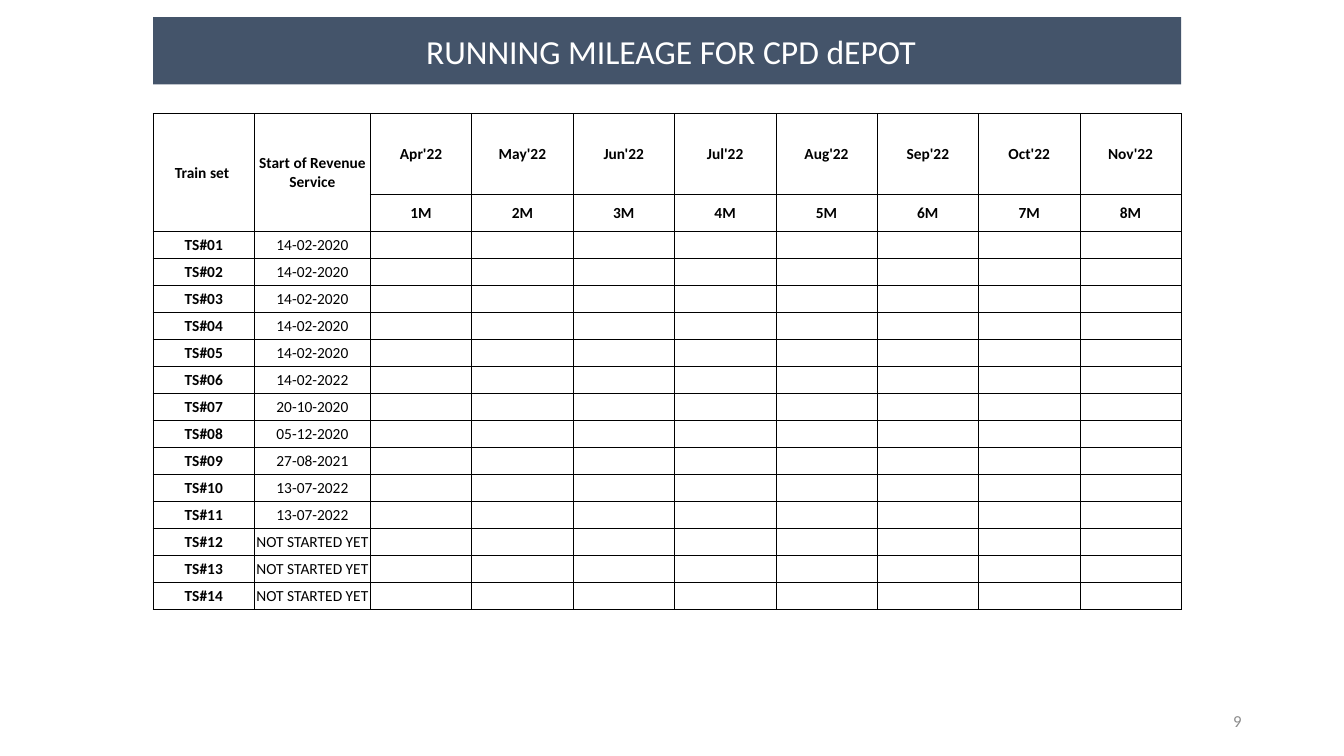
from lxml.etree import SubElement
from pptx import Presentation
from pptx.dml.color import RGBColor
from pptx.enum.shapes import MSO_SHAPE as Shape
from pptx.enum.text import MSO_ANCHOR as Anchor, PP_ALIGN as Align
from pptx.oxml.ns import qn
from pptx.util import Pt

MONTHS = ["Apr", "May", "Jun", "Jul", "Aug", "Sep", "Oct", "Nov"]
SERVICE_STARTS = ["14-02-2020"] * 5 + [
    "14-02-2022", "20-10-2020", "05-12-2020", "27-08-2021",
    "13-07-2022", "13-07-2022",
] + ["NOT STARTED YET"] * 3
LEFT, WIDTH = 109.4, 734.4
START_WIDTH = 82.8
HEADER_HEIGHTS = [57.9, 26.5]
TRAIN_HEIGHT = 19.3
HEAVY_COLUMN_EDGES = {0, 2, 2 + len(MONTHS)}
HEAVY_ROW_EDGES = {0, 2}


def paint(target, color):
    target.solid()
    target.fore_color.rgb = RGBColor.from_string(color)


def write(frame, text, size=11, color="000000", bold=False, align=Align.CENTER):
    frame.word_wrap = True
    paragraph = frame.paragraphs[0]
    paragraph.alignment = align
    if text:
        run = paragraph.add_run()
        run.text = text
        run.font.name = "Calibri"
        run.font.size = Pt(size)
        run.font.bold = bold
        run.font.color.rgb = RGBColor.from_string(color)
    paragraph._p.get_or_add_endParaRPr().set("sz", str(size * 100))


def add_banner(slide, text):
    banner = slide.shapes.add_shape(
        Shape.RECTANGLE, Pt(LEFT), Pt(12.2), Pt(WIDTH), Pt(48.2))
    banner.shadow.inherit = False
    paint(banner.fill, "44546A")
    banner.line.fill.background()
    banner.text_frame.vertical_anchor = Anchor.MIDDLE
    write(banner.text_frame, text, size=24, color="FFFFFF")


def add_page_number(slide, text):
    number = slide.shapes.add_textbox(Pt(678), Pt(500.4), Pt(216), Pt(28.8))
    number.text_frame.vertical_anchor = Anchor.MIDDLE
    write(number.text_frame, text, size=12, color="8C8C8C", align=Align.RIGHT)


def add_borders(cell, row, column):
    edges = {
        "a:lnL": column in HEAVY_COLUMN_EDGES,
        "a:lnR": column + 1 in HEAVY_COLUMN_EDGES,
        "a:lnT": row in HEAVY_ROW_EDGES,
        "a:lnB": row + cell.span_height in HEAVY_ROW_EDGES,
    }
    properties = cell._tc.get_or_add_tcPr()
    for tag, heavy in edges.items():
        border = SubElement(properties, qn(tag), w=str(Pt(1 if heavy else 0.5)))
        solid = SubElement(border, qn("a:solidFill"))
        SubElement(solid, qn("a:srgbClr"), val="000000")


def format_cell(cell, row, column, text):
    cell.margin_left = cell.margin_right = Pt(0)
    cell.margin_top = cell.margin_bottom = Pt(0)
    cell.vertical_anchor = Anchor.MIDDLE
    add_borders(cell, row, column)
    paint(cell.fill, "FFFFFF")
    write(cell.text_frame, text, bold=row < 2 or column == 0)


def add_mileage_table(slide):
    blanks = [""] * len(MONTHS)
    contents = [
        ["Train set ", "Start of Revenue Service"] + [f"{month}'22" for month in MONTHS],
        ["", ""] + [f"{number}M" for number in range(1, len(MONTHS) + 1)],
    ]
    for number, start in enumerate(SERVICE_STARTS, 1):
        contents.append([f"TS#{number:02}", start] + blanks)

    heights = HEADER_HEIGHTS + [TRAIN_HEIGHT] * len(SERVICE_STARTS)
    column_count = len(contents[0])
    mileage = slide.shapes.add_table(
        len(contents), column_count,
        Pt(LEFT), Pt(81.2), Pt(WIDTH), Pt(sum(heights))).table
    mileage.first_row = mileage.horz_banding = False
    for column in mileage.columns:
        column.width = Pt((WIDTH - START_WIDTH) / (column_count - 1))
    mileage.columns[1].width = Pt(START_WIDTH)
    for row, height in zip(mileage.rows, heights):
        row.height = Pt(height)
    for column in range(2):
        mileage.cell(0, column).merge(mileage.cell(1, column))
    for row, texts in enumerate(contents):
        for column, text in enumerate(texts):
            format_cell(mileage.cell(row, column), row, column, text)


def main():
    deck = Presentation()
    deck.slide_width, deck.slide_height = Pt(960), Pt(540)
    slide = deck.slides.add_slide(deck.slide_layouts[6])
    add_banner(slide, " RUNNING MILEAGE FOR CPD dEPOT")
    add_page_number(slide, "9")
    add_mileage_table(slide)
    deck.save("out.pptx")


if __name__ == "__main__":
    main()
